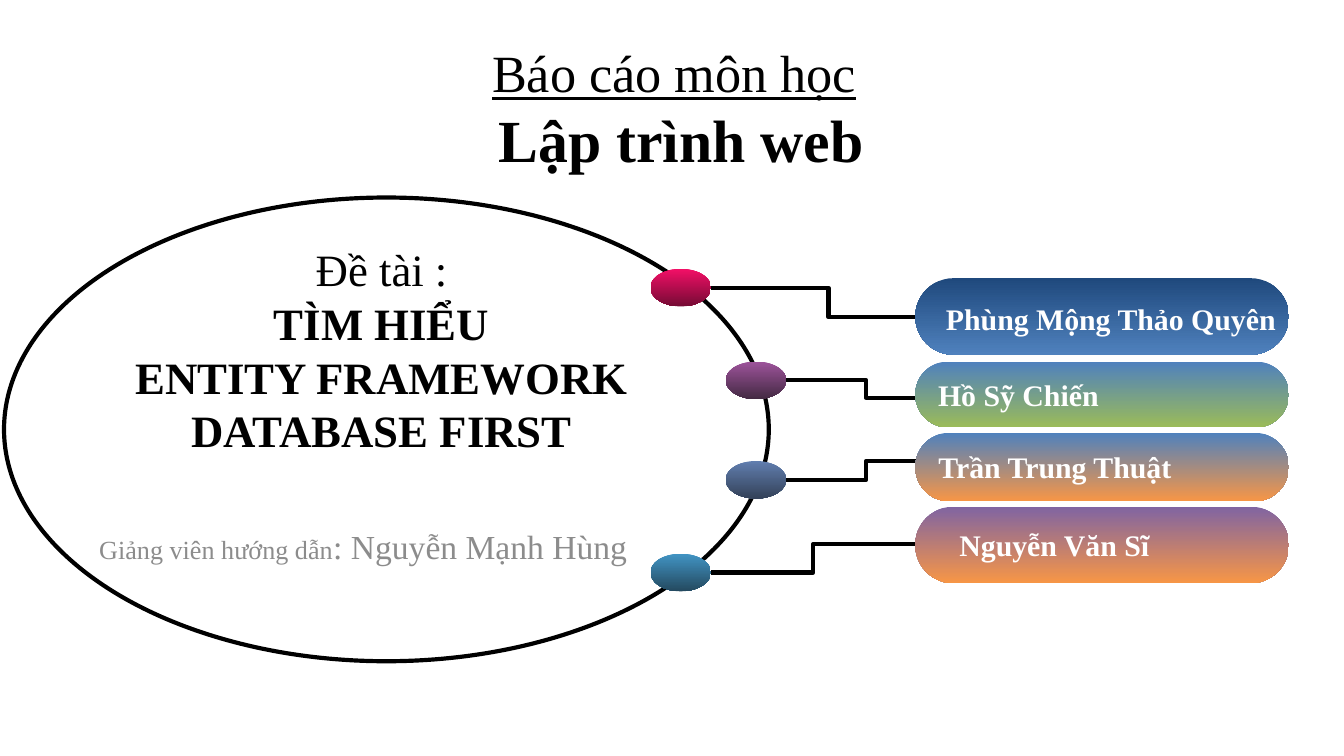
import pptx
import pptx.util
import pptx.dml.color
import pptx.enum.shapes
import pptx.enum.text
import pptx.oxml.ns
from lxml import etree

Inches = pptx.util.Inches
Pt = pptx.util.Pt
MSO_SHAPE = pptx.enum.shapes.MSO_SHAPE
ANCHOR = pptx.enum.text.MSO_ANCHOR
ALIGN = pptx.enum.text.PP_ALIGN

FONT = "Times New Roman"
BLACK, WHITE, GRAY = "000000", "FFFFFF", "8C8C8C"

# Each paragraph is a list of (text, format) runs; "\n" is a line break
TITLE = [
    [("Báo cáo môn học", {"size": 28, "underline": True}), ("\n", {}),
     (" ", {"size": 32}), ("Lập trình web", {"size": 32, "bold": True})],
]
TOPIC = [
    [("Đề tài :", {})],
    [(" ", {}), ("TÌM HIỂU ", {"bold": True})],
    [("ENTITY FRAMEWORK DATABASE FIRST", {"bold": True})],
]
TEACHER = [[("Giảng viên hướng dẫn", {"size": 14}), (": Nguyễn Mạnh Hùng", {"size": 18})]]

# dot: left, top, gradient; link: end x, end y; pill: top, height, gradient
MEMBERS = [
    {"dot": (4.84, 2.0, "F30F67", "750B34"), "link": (7.04, 2.36),
     "pill": (2.07, 0.57, "1F497D", "4F81BD")},
    {"dot": (5.4, 2.69, "9D539B", "442A43"), "link": (7.04, 2.96),
     "pill": (2.69, 0.49, "4F81BD", "9BBB59"), "name": "Hồ Sỹ Chiến"},
    {"dot": (5.4, 3.43, "617EAF", "344259"), "link": (7.04, 3.43),
     "pill": (3.22, 0.51, "4F81BD", "F79646"), "name": "Trần Trung Thuật"},
    {"dot": (4.84, 4.12, "4194C4", "24495F"), "link": (6.81, 4.05),
     "pill": (3.77, 0.57, "8064A2", "F79646")},
]
# Names set in their own boxes over the first and last pills
LABELS = [
    ("Nguyễn Văn Sĩ", (7.04, 3.87, 1.69, 0.37)),
    ("Phùng Mộng Thảo Quyên", (6.94, 2.19, 2.69, 0.37)),
]
NAME_FORMAT = {"size": 16, "bold": True, "color": WHITE}
DOT_W, DOT_H = 0.45, 0.28
PILL_X, PILL_W = 6.81, 2.78


def rgb(value):
    return pptx.dml.color.RGBColor.from_string(value)


def write(sp, paragraphs, size=24, color=BLACK, bold=False, align=ALIGN.LEFT,
          anchor=ANCHOR.TOP, inset=0.05, wrap=True):
    """Fill a shape with paragraphs of (text, format) runs."""
    tf = sp.text_frame
    tf.word_wrap = wrap
    tf.vertical_anchor = anchor
    tf.margin_left = tf.margin_right = Inches(0.1)
    tf.margin_top = tf.margin_bottom = Inches(inset)
    for i, runs in enumerate(paragraphs):
        p = tf.add_paragraph() if i else tf.paragraphs[0]
        p.alignment = align
        for text, fmt in runs:
            if text == "\n":
                p.add_line_break()
                continue
            r = p.add_run()
            r.text = text
            r.font.name = FONT
            r.font.size = Pt(fmt.get("size", size))
            r.font.bold = fmt.get("bold", bold)
            r.font.underline = fmt.get("underline", False)
            r.font.color.rgb = rgb(color)


def add_text(box, paragraphs, **fmt):
    write(slide.shapes.add_textbox(*map(Inches, box)), paragraphs, **fmt)


def add_shape(kind, box):
    sp = slide.shapes.add_shape(kind, *map(Inches, box))
    sp.shadow.inherit = False
    return sp


def add_gradient_shape(kind, box, top_color, bottom_color):
    sp = add_shape(kind, box)
    sp.line.fill.background()
    sp.fill.gradient()
    sp.fill.gradient_angle = 270
    for stop, color in zip(sp.fill.gradient_stops, (top_color, bottom_color)):
        stop.color.rgb = rgb(color)
    return sp


def add_elbow(*points):
    line = slide.shapes.add_connector(
        pptx.enum.shapes.MSO_CONNECTOR.ELBOW, *map(Inches, points))
    line.line.color.rgb = rgb(BLACK)
    line.line.width = Pt(2.25)
    etree.SubElement(line._element.spPr, pptx.oxml.ns.qn("a:effectLst"))


prs = pptx.Presentation()
prs.slide_width, prs.slide_height = Inches(10), Inches(10 * 9 / 16)
slide = prs.slides.add_slide(prs.slide_layouts[6])

ring = add_shape(MSO_SHAPE.OVAL, (0.03, 1.47, 5.69, 3.45))
ring.fill.background()
ring.line.color.rgb = rgb(BLACK)
ring.line.width = Pt(2.25)

for member in MEMBERS:
    x, y, *colors = member["dot"]
    add_gradient_shape(MSO_SHAPE.OVAL, (x, y, DOT_W, DOT_H), *colors)
    add_elbow(x + DOT_W, y + DOT_H / 2, *member["link"])

    top, height, *colors = member["pill"]
    pill = add_gradient_shape(MSO_SHAPE.ROUNDED_RECTANGLE,
                              (PILL_X, top, PILL_W, height), *colors)
    pill.adjustments[0] = 0.5
    if "name" in member:
        write(pill, [[(member["name"], {})]], anchor=ANCHOR.MIDDLE, inset=0.1,
              **NAME_FORMAT)

add_text((0.03, 0, 9.97, 1.6), TITLE, align=ALIGN.CENTER, anchor=ANCHOR.MIDDLE)
add_text((0.64, 3.81, 4.16, 0.46), TEACHER, color=GRAY, inset=0.1)
add_text((0.56, 1.75, 4.56, 2.12), TOPIC, align=ALIGN.CENTER)
for name, box in LABELS:
    add_text(box, [[(name, {})]], wrap=False, **NAME_FORMAT)

prs.save("out.pptx")
